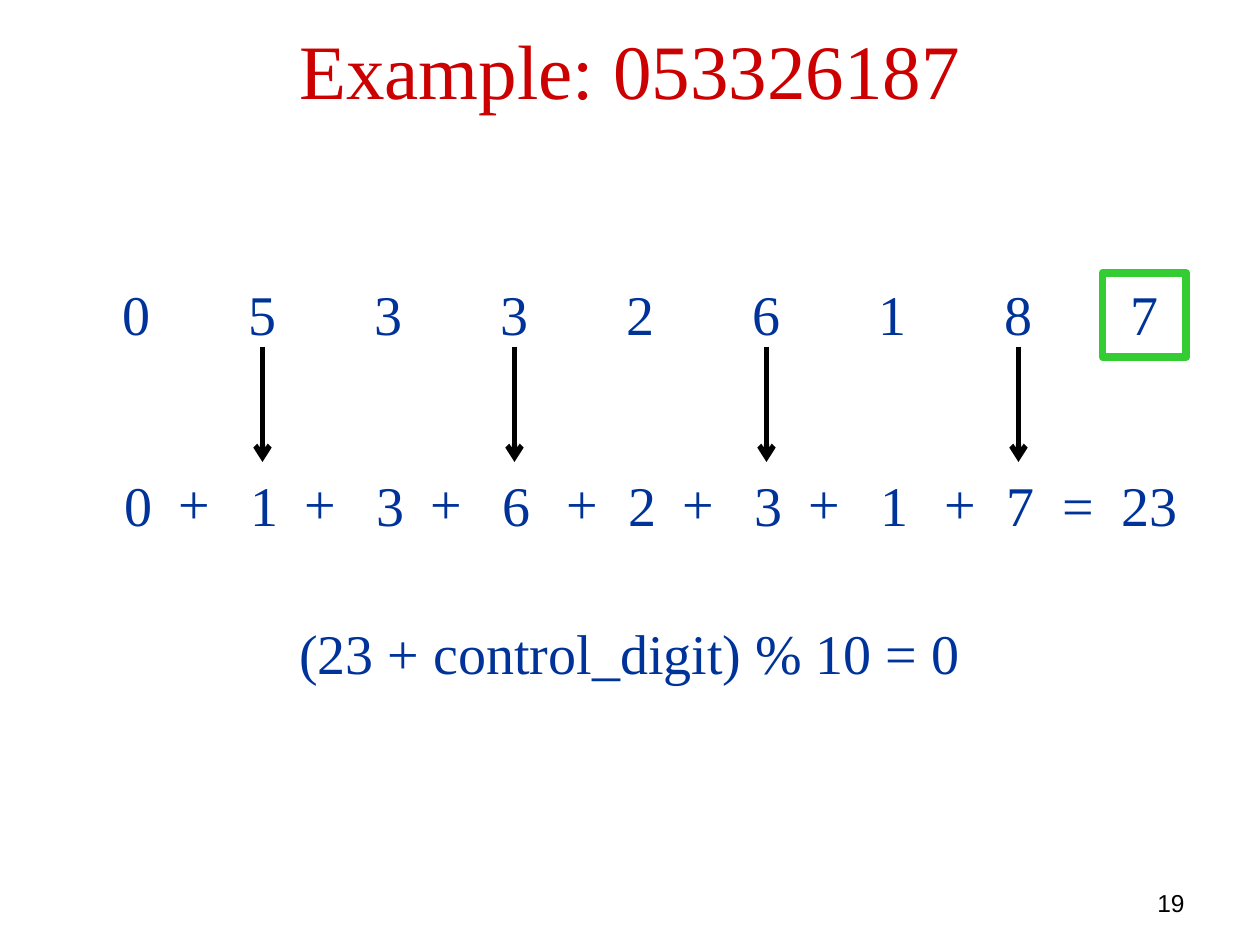
import dataclasses

import pptx
import pptx.dml.color
import pptx.enum.shapes
import pptx.enum.text
import pptx.oxml.ns
import pptx.util
from lxml import etree

ALIGN = pptx.enum.text.PP_ALIGN
ANCHOR = pptx.enum.text.MSO_ANCHOR
qn = pptx.oxml.ns.qn
COLUMNS, ROWS = 120, 90
CELL = pptx.util.Inches(10) // COLUMNS
DIGIT_STEP = 12  # columns from one digit to the next
LINE_ROWS = 7.7


@dataclasses.dataclass(frozen=True)
class Theme:
    serif: str = "Times New Roman"
    sans: str = "Arial"
    title_color: str = "CC0000"
    text_color: str = "003399"
    ink: str = "000000"
    highlight: str = "33CC33"
    title_size: int = 44
    text_size: int = 32
    number_size: int = 14
    arrow_width: float = 3
    frame_width: float = 4.5


THEME = Theme()


@dataclasses.dataclass(frozen=True)
class Box:
    """A rectangle in grid columns and rows."""
    left: float
    top: float
    width: float
    height: float

    def lengths(self):
        return [round(value * CELL) for value in dataclasses.astuple(self)]


def rgb(color):
    return pptx.dml.color.RGBColor.from_string(color)


def format_paragraph(paragraph, size, color, font=THEME.serif, align=ALIGN.CENTER):
    paragraph.alignment = align
    for run in paragraph.runs:
        run.font.size = pptx.util.Pt(size)
        run.font.name = font
        run.font.color.rgb = rgb(color)


def add_text(slide, box, text):
    """Add a centred text box in the body style and return its paragraph."""
    text_frame = slide.shapes.add_textbox(*box.lengths()).text_frame
    text_frame.word_wrap = True
    text_frame.text = text
    paragraph = text_frame.paragraphs[0]
    format_paragraph(paragraph, THEME.text_size, THEME.text_color)
    return paragraph


def add_digit_line(slide, box, digits):
    """Add digits spaced by tab stops and return their paragraph."""
    paragraph = add_text(slide, box, "\t".join(digits))
    properties = paragraph._element.get_or_add_pPr()
    tab_stops = etree.SubElement(properties, qn("a:tabLst"))
    for index in range(1, len(digits)):
        position = str(index * DIGIT_STEP * CELL)
        etree.SubElement(tab_stops, qn("a:tab"), pos=position, algn="l")
    return paragraph


def add_title(slide, box, text):
    title = slide.shapes.title
    title.left, title.top, title.width, title.height = box.lengths()
    title.text_frame.text = text
    title.text_frame.vertical_anchor = ANCHOR.MIDDLE
    format_paragraph(title.text_frame.paragraphs[0], THEME.title_size, THEME.title_color)


def add_arrow(slide, column, top, bottom):
    x, start, end = (round(value * CELL) for value in (column, top, bottom))
    arrow = slide.shapes.add_connector(
        pptx.enum.shapes.MSO_CONNECTOR.STRAIGHT, x, start, x, end)
    arrow.line.color.rgb = rgb(THEME.ink)
    arrow.line.width = pptx.util.Pt(THEME.arrow_width)
    etree.SubElement(arrow.line._get_or_add_ln(), qn("a:tailEnd"), type="arrow")
    etree.SubElement(arrow._element.spPr, qn("a:effectLst"))


def add_digits(slide, box, digits):
    """Write the digits, frame the control digit and point every second one down."""
    add_digit_line(slide, box, digits)
    frame_box = Box(box.left + 101, box.top, 8, 8)
    frame = slide.shapes.add_shape(
        pptx.enum.shapes.MSO_SHAPE.RECTANGLE, *frame_box.lengths())
    frame.shadow.inherit = False
    frame.fill.background()
    frame.line.color.rgb = rgb(THEME.highlight)
    frame.line.width = pptx.util.Pt(THEME.frame_width)
    for index in range(1, len(digits), 2):
        add_arrow(slide, box.left + 9 + index * DIGIT_STEP, box.top + 7, box.top + 18)


def add_sum(slide, box, digits, total):
    paragraph = add_digit_line(slide, box, digits)
    for text in (" ", "=", " ", total):
        run = paragraph.add_run()
        run.text = text
        if text == " ":
            # Double the width of the space, in hundredths of a point
            run.font._element.set("spc", "800")
    format_paragraph(paragraph, THEME.text_size, THEME.text_color)
    wide_gaps = (3, 6)
    for index in range(len(digits) - 1):
        left = box.left + 10 + index * DIGIT_STEP + (index in wide_gaps)
        add_text(slide, Box(left, box.top - 0.25, 7, LINE_ROWS), "+")


def add_slide_number(slide, box, number):
    paragraph = add_text(slide, box, number)
    format_paragraph(paragraph, THEME.number_size, THEME.ink, THEME.sans, ALIGN.RIGHT)


def build_presentation():
    presentation = pptx.Presentation()
    presentation.slide_width = COLUMNS * CELL
    presentation.slide_height = ROWS * CELL
    title_only = presentation.slide_layouts[5]
    slide = presentation.slides.add_slide(title_only)
    add_title(slide, Box(6, -1, 108, 15), "Example: 053326187")
    add_digits(slide, Box(4, 26, 114, LINE_ROWS), "053326187")
    add_sum(slide, Box(5, 44.25, 114, LINE_ROWS), "01362317", "23")
    add_text(slide, Box(3, 58.3, 114, LINE_ROWS), "(23 + control_digit) % 10 = 0")
    add_slide_number(slide, Box(86, 84, 28, 3), "19")
    return presentation


if __name__ == "__main__":
    build_presentation().save("out.pptx")
